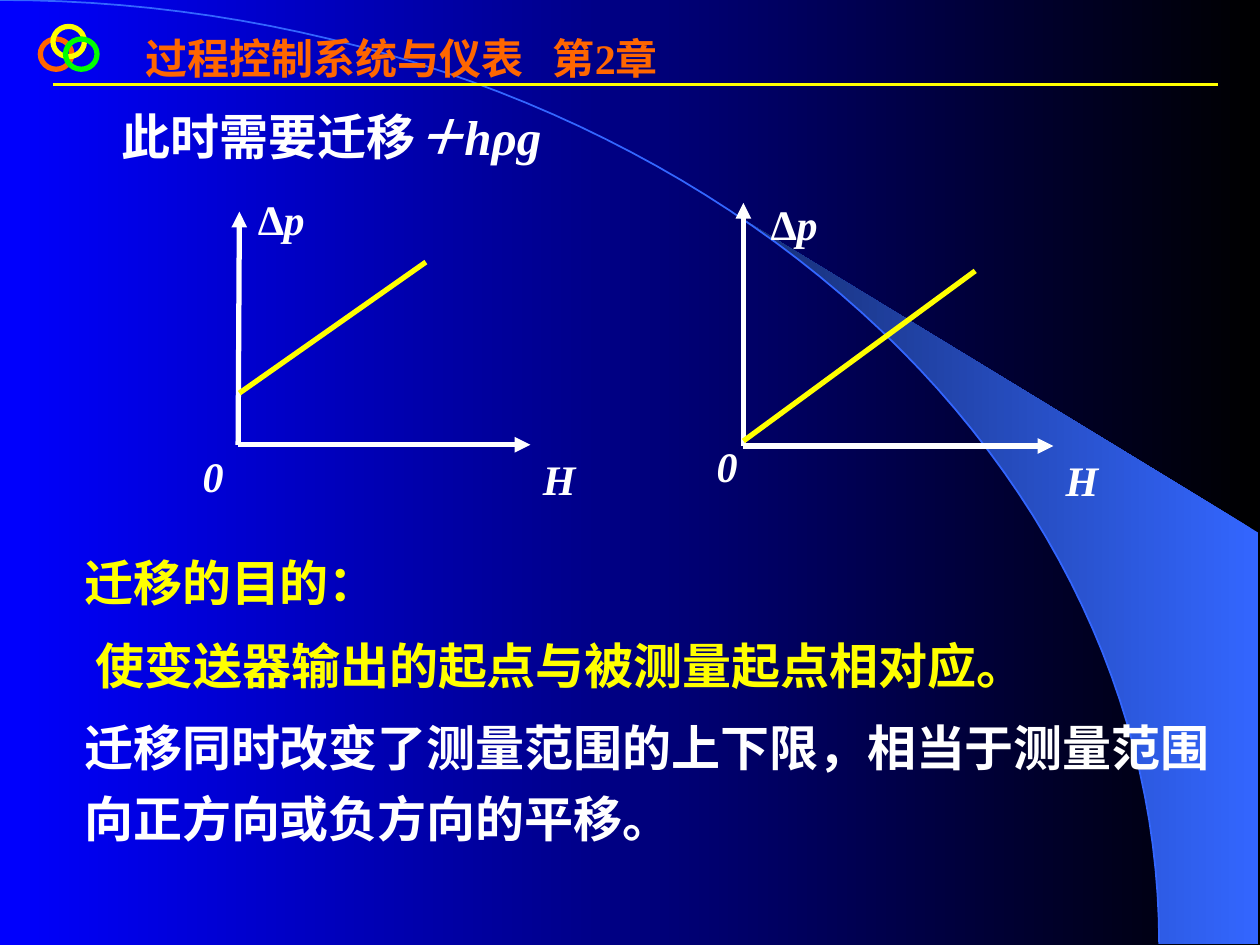
from math import asin, cos, pi, sin

from lxml.etree import SubElement
from pptx import Presentation
from pptx.dml.color import RGBColor
from pptx.enum.shapes import MSO_CONNECTOR, MSO_SHAPE
from pptx.enum.text import MSO_AUTO_SIZE
from pptx.oxml.ns import qn
from pptx.util import Inches, Pt

WIDTH, HEIGHT = Inches(10), Inches(7.5)
COLUMNS, ROWS = 100, 75
FONT = "Times New Roman"
BLACK = RGBColor(0x00, 0x00, 0x00)
BLUE = RGBColor(0x00, 0x00, 0xFF)
SKY = RGBColor(0x33, 0x66, 0xFF)
NAVY = RGBColor(0x17, 0x2F, 0x75)
YELLOW = RGBColor(0xFF, 0xFF, 0x00)
ORANGE = RGBColor(0xFF, 0x66, 0x00)
GREEN = RGBColor(0x00, 0xFF, 0x00)
WHITE = RGBColor(0xFF, 0xFF, 0xFF)
ARC_WIDTH, ARC_HEIGHT, ARC_STEPS = 92, 74.9, 60


def across(columns):
    return round(WIDTH * columns / COLUMNS)


def down(rows):
    return round(HEIGHT * rows / ROWS)


def fill_gradient(fill, first, last):
    fill.gradient()
    fill.gradient_angle = 180
    for stop, color in zip(fill.gradient_stops, (first, last)):
        stop.color.rgb = color


def arc_points(start):
    angles = [start + (pi / 2 - start) * step / ARC_STEPS for step in range(ARC_STEPS + 1)]
    return [(ARC_WIDTH * sin(angle), ARC_HEIGHT * (1 - cos(angle))) for angle in angles]


def add_outline(page, points, close):
    corners = [(across(x), down(y)) for x, y in points]
    builder = page.shapes.build_freeform(*corners[0])
    builder.add_line_segments(corners[1:], close=close)
    shape = builder.convert_to_shape()
    shape.shadow.inherit = False
    return shape


def add_swoosh(page):
    edge = arc_points(asin(58.9 / ARC_WIDTH))
    crescent = add_outline(page, edge + [(99.9, 74.9), (99.9, 42.3)], True)
    fill_gradient(crescent.fill, SKY, NAVY)
    crescent.line.fill.background()
    arc = add_outline(page, arc_points(0), False)
    arc.fill.background()
    arc.line.color.rgb = SKY
    arc.line.width = Pt(1)


def add_ring(page, left, top, color):
    ring = page.shapes.add_shape(
        MSO_SHAPE.OVAL, across(left), down(top), across(2.5), down(2.4))
    ring.shadow.inherit = False
    ring.fill.background()
    ring.line.color.rgb = color
    ring.line.width = Pt(3)


def add_line(page, start, end, color, width=3, arrow=False):
    line = page.shapes.add_connector(
        MSO_CONNECTOR.STRAIGHT, across(start[0]), down(start[1]), across(end[0]), down(end[1]))
    line.line.color.rgb = color
    line.line.width = Pt(width)
    if arrow:
        SubElement(line.line._get_or_add_ln(), qn("a:tailEnd"), type="triangle")
    SubElement(line._element.spPr, qn("a:effectLst"))


def add_box(page, left, top, width, height, wrap=True):
    box = page.shapes.add_textbox(across(left), down(top), across(width), down(height))
    box.text_frame.word_wrap = wrap
    box.text_frame.auto_size = MSO_AUTO_SIZE.SHAPE_TO_FIT_TEXT
    return box.text_frame


def format_span(span, size, color, italic=False):
    span.font.name = FONT
    span.font.size = Pt(size)
    span.font.bold = True
    span.font.italic = italic
    span.font.color.rgb = color


def add_label(page, text, left, top, width):
    para = add_box(page, left, top, width, 5, wrap=False).paragraphs[0]
    para.text = text
    format_span(para.runs[0], 24, WHITE, italic=True)


def add_header(page):
    add_line(page, (4.2, 6.7), (96.7, 6.7), YELLOW, 1.5)
    para = add_box(page, 10.6, 2.1, 44.9, 9).paragraphs[0]
    para.text = "过程控制系统与仪表\t第2章"
    tabs = SubElement(para._p.get_or_add_pPr(), qn("a:tabLst"))
    SubElement(tabs, qn("a:tab"), pos=str(across(32.3)), algn="l")
    format_span(para.runs[0], 24, ORANGE)
    for left, top, color in ((3.2, 3.1, ORANGE), (4.2, 2.1, YELLOW), (5.2, 3.1, GREEN)):
        add_ring(page, left, top, color)


def add_purpose(page):
    frame = add_box(page, 5.7, 42.4, 91.5, 25.4)
    lines = (
        ("迁移的目的：", YELLOW, 0),
        ("使变送器输出的起点与被测量起点相对应。", YELLOW, 0.9),
        ("迁移同时改变了测量范围的上下限，相当于测量范围向正方向或负方向的平移。", WHITE, 0),
    )
    for index, (text, color, indent) in enumerate(lines):
        para = frame.add_paragraph() if index else frame.paragraphs[0]
        para.text = text
        para.line_spacing = 1.2
        if index:
            para.space_before = Pt(7)
        if indent:
            para._p.get_or_add_pPr().set("marL", str(across(indent)))
        format_span(para.runs[0], 28, color)


def add_shift(page):
    para = add_box(page, 8.7, 8, 43.3, 5.7).paragraphs[0]
    para.text = "此时需要迁移"
    para.add_run().text = "＋hρg"
    for span, italic in zip(para.runs, (False, True)):
        format_span(span, 28, WHITE, italic)


def add_graph(page, origin, right, top, pressure, zero, curve):
    x, y = origin
    add_line(page, origin, (right, y), WHITE, arrow=True)
    add_line(page, origin, top, WHITE, arrow=True)
    add_label(page, "H", right, y + 0.2, 4.6)
    add_label(page, "∆p", *pressure, 5.7)
    add_label(page, "0", *zero, 3.6)
    add_line(page, *curve, YELLOW)


def main():
    deck = Presentation()
    deck.slide_width, deck.slide_height = WIDTH, HEIGHT
    page = deck.slides.add_slide(deck.slide_layouts[6])
    fill_gradient(page.background.fill, BLACK, BLUE)
    add_swoosh(page)
    add_header(page)
    add_purpose(page)
    add_shift(page)
    add_graph(page, (18.9, 35.3), 42.1, (19, 16.8), (19.5, 14.9), (15.1, 35.3),
              ((19, 31.2), (33.8, 20.8)))
    add_graph(page, (59, 35.4), 83.6, (59, 16.1), (60.2, 15.3), (55.9, 34.5),
              ((59, 35), (77.4, 21.5)))
    deck.save("out.pptx")


if __name__ == "__main__":
    main()
